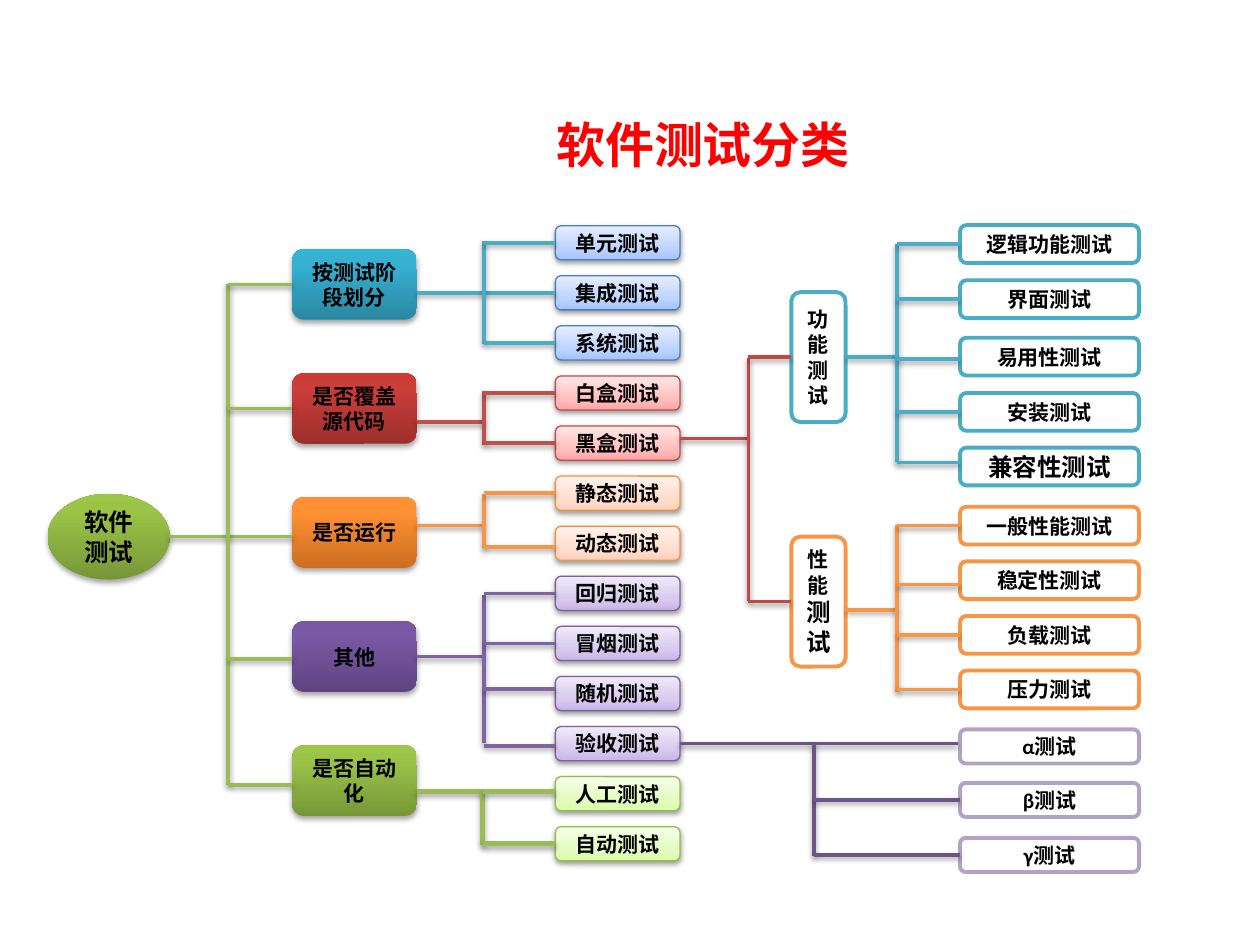
from copy import deepcopy
from dataclasses import dataclass
from typing import Optional

from lxml import etree
from pptx import Presentation
from pptx.dml.color import RGBColor
from pptx.enum import shapes, text
from pptx.oxml.ns import qn
from pptx.util import Pt


@dataclass(frozen=True)
class Tone:
    stops: tuple = ()               # (position %, colour) from bottom to top
    line: Optional[str] = None
    width: float = 0
    shade: Optional[tuple] = None   # shadow opacity %, distance


@dataclass(frozen=True)
class Box:
    label: str
    x: float
    y: float
    w: float
    h: float
    tone: Tone
    size: float
    form: int = shapes.MSO_SHAPE.ROUNDED_RECTANGLE
    tail: str = ""                  # end of the label, set larger


@dataclass(frozen=True)
class Tree:
    color: str
    spine: tuple                    # x, top, bottom
    stem: tuple                     # from x, to x, y
    end: float
    twigs: tuple
    width: float = 2
    shade: tuple = (38, 1.57)


DEEP, SOFT = (35, 1.81), (38, 1.57)


def deep(*cols: str) -> Tone:
    return Tone(tuple(zip((0, 80, 100), cols)), shade=DEEP)


def soft(line: str, *cols: str) -> Tone:
    return Tone(tuple(zip((0, 35, 100), cols)), line, 0.75, SOFT)


def ring(line: str) -> Tone:
    return Tone(((0, Theme.white),), line, 2.25)


class Theme:
    font, head = "Calibri", "Noto Sans CJK SC"
    body, large, title = 12, 14, 28
    black, white, red = "000000", "FFFFFF", "FF0000"
    lime, teal, rose = "9BBB59", "4BACC6", "C0504D"
    amber, plum, brick, dusk, lilac = "F79646", "8064A2", "BE4A47", "6D5488", "B3A2C7"
    leaf = deep("779737", "9BC348", "9DC746")
    sea = deep("2A88A2", "37B1D2", "34B4D6")
    ruby = deep("9C2F2D", "CB3E3A", "CE3B37")
    flame = deep("CC6E20", "FF9034", "FF9136")
    grape = deep("5F4480", "7B58A6", "7C57A8")
    sky = soft("4B7EBC", "A4C4FF", "BFD4FF", "E6EEFF")
    pink = soft("BF4C48", "FFA6A5", "FFC0BF", "FFE7E7")
    peach = soft("F69240", "FFD2BD", "FFDED0", "FFF2ED")
    mauve = soft("7D60A0", "C9B5E8", "D8CBEE", "F0EAF9")
    mint = soft("98B955", "DAFDA7", "E4FCC2", "F5FFE7")


def rgb(code: str) -> RGBColor:
    return RGBColor.from_string(code)


def cast(props, shade: tuple) -> None:
    """Give shape properties a soft shadow straight below."""
    list_ = props.find(qn("a:effectLst"))
    if list_ is None:
        list_ = etree.SubElement(props, qn("a:effectLst"))
    glow = etree.SubElement(list_, qn("a:outerShdw"), blurRad=str(Pt(3.15)),
                            dist=str(Pt(shade[1])), dir="5400000", rotWithShape="0")
    ink = etree.SubElement(glow, qn("a:srgbClr"), val=Theme.black)
    etree.SubElement(ink, qn("a:alpha"), val=str(shade[0] * 1000))


def paint(shape, tone: Tone) -> None:
    fill = shape.fill
    if len(tone.stops) == 1:
        fill.solid()
        fill.fore_color.rgb = rgb(tone.stops[0][1])
    else:
        fill.gradient()
        fill.gradient_angle = 90
        row = shape._element.spPr.find(qn("a:gradFill")).find(qn("a:gsLst"))
        row.append(deepcopy(row[0]))
        for stop, (pos, col) in zip(fill.gradient_stops, tone.stops):
            stop.position, stop.color.rgb = pos / 100, rgb(col)
    if tone.line:
        shape.line.color.rgb = rgb(tone.line)
        shape.line.width = Pt(tone.width)
    else:
        shape.line.fill.background()
    shape.shadow.inherit = False
    if tone.shade:
        cast(shape._element.spPr, tone.shade)


def write(shape, label: str, face: str, size: float, color: str, tail: str = "") -> None:
    frame = shape.text_frame
    frame.word_wrap = True
    frame.vertical_anchor = text.MSO_ANCHOR.MIDDLE
    par = frame.paragraphs[0]
    par.alignment = text.PP_ALIGN.CENTER
    font = par.font
    font.name, font.size, font.bold = face, Pt(size), True
    font.color.rgb = rgb(color)
    par.add_run().text = label
    if tail:
        run = par.add_run()
        run.text, run.font.size = tail, Pt(Theme.large)


def draw(slide, box: Box):
    shape = slide.shapes.add_shape(box.form, Pt(box.x), Pt(box.y), Pt(box.w), Pt(box.h))
    paint(shape, box.tone)
    write(shape, box.label, Theme.font, box.size, Theme.black, box.tail)
    return shape


def wire(slide, tree: Tree, x1: float, y1: float, x2: float, y2: float):
    line = slide.shapes.add_connector(shapes.MSO_CONNECTOR.STRAIGHT,
                                      Pt(x1), Pt(y1), Pt(x2), Pt(y2))
    line.line.color.rgb = rgb(tree.color)
    line.line.width = Pt(tree.width)
    cast(line._element.spPr, tree.shade)
    return line


def level(slide, tree: Tree, x1: float, x2: float, y: float, made: list) -> None:
    """Draw a level line, joined to any box side whose middle it meets."""
    def meet(x: float, side: int):
        for shape in made:
            edge = shape.left + (shape.width if side == 3 else 0)
            mid = shape.top + shape.height // 2
            if abs(edge - Pt(x)) < Pt(1.5) and abs(mid - Pt(y)) < Pt(1.2):
                return shape, mid
        return None

    start, stop = meet(x1, 3), meet(x2, 1)
    if start or stop:
        y = (start or stop)[1] / Pt(1)
    line = wire(slide, tree, x1, y, x2, y)
    if start:
        line.begin_connect(start[0], 3)
    if stop:
        line.end_connect(stop[0], 1)


def grow(slide, tree: Tree, made: list) -> None:
    x, top, base = tree.spine
    level(slide, tree, *tree.stem, made)
    wire(slide, tree, x, top, x, base)
    for y in tree.twigs:
        level(slide, tree, x, tree.end, y, made)


T = Theme
GROUPS = (("按测试阶段划分", T.sea), ("是否覆盖源代码", T.ruby), ("是否运行", T.flame),
          ("其他", T.grape), ("是否自动化", T.leaf))
KINDS = (("单元 集成 系统", T.sky), ("白盒 黑盒", T.pink), ("静态 动态", T.peach),
         ("回归 冒烟 随机 验收", T.mauve), ("人工 自动", T.mint))
# names, tops, height, line colour
LEAVES = (("逻辑功能 界面 易用性 安装 兼容性", (128.7, 160.2, 193, 224.6, 255.8), 21.6, T.teal),
          ("一般性能 稳定性 负载 压力", (289.6, 320.8, 352, 383.2), 21.6, T.amber),
          ("α β γ", (416.8, 447.4, 478.8), 19.5, T.lilac))
A, B, C, D = 167, 317.4, 452.2, 548.6   # left edges of the columns
TREES = (
    Tree(T.lime, (130.3, 162, 448.6), (96.6, A, 306.7), A, (162.7, 233.3, 376.6, 448.6)),
    Tree(T.teal, (276.5, 137.5, 196.6), (238.2, B, 167.3), B, (138.2, 195.8)),
    Tree(T.rose, (276.5, 223.2, 254.2), (238.2, 276.5, 241.2), B, (223.9, 253.4)),
    Tree(T.amber, (276.5, 282.2, 313.2), (238.2, 276.5, 300.2), B, (283, 312.5)),
    Tree(T.plum, (276.5, 339.8, 424.8), (238.2, 276.5, 375.8), B, (339.8, 367.2, 393.8, 426.2)),
    Tree(T.lime, (275.8, 452.2, 483.1), (238.2, 276.5, 452.2), B, (452.2, 481.7), 3, DEEP),
    Tree(T.brick, (427.7, 204.5, 343.4), (388.6, 427.7, 250.6), C, (205.2, 342.7)),
    Tree(T.teal, (512.6, 139.7, 264.2), (483.1, 512.6, 205.2), D,
         (139.7, 170.6, 205.2, 235.4, 264.2)),
    Tree(T.amber, (512.6, 300.2, 395.3), (483.1, 512.6, 348.5), D, (300.2, 334.1, 362.9, 393.8)),
    Tree(T.dusk, (465.1, 424.8, 488.9), (388.6, 547.2, 424.8), D, (456.5, 488.2)),
)


def main() -> None:
    deck = Presentation()
    deck.slide_width, deck.slide_height = Pt(720), Pt(540)
    slide = deck.slides.add_slide(deck.slide_layouts[6])

    # Title
    head = slide.shapes.add_textbox(Pt(177.8), Pt(51.1), Pt(447.8), Pt(62.6))
    write(head, "软件测试分类", T.head, T.title, T.red)

    # Root, groups, kinds, branches, leaves
    draw(slide, Box("软件测试", 27.2, 282.2, 69.8, 49, T.leaf, T.large, shapes.MSO_SHAPE.OVAL))
    boxes = [Box(name, A, 142.4 + 70.9 * i, 71.2, 40.3, tone, T.body)
             for i, (name, tone) in enumerate(GROUPS)]
    kinds = [(name, tone) for names, tone in KINDS for name in names.split()]
    boxes += [Box(name + "测试", B, 129 + 28.62 * i, 71.2, 19.5, tone, T.body)
              for i, (name, tone) in enumerate(kinds)]
    boxes += [Box("功能测试", C, 167, 31, 74.2, ring(T.teal), T.body),
              Box("性能", C, 306.7, 31, 74.2, ring(T.amber), T.body, tail="测试")]
    boxes += [Box(name + "测试", D, y, 102.3, h, ring(col),
                  T.large if name == "兼容性" else T.body)
              for names, tops, h, col in LEAVES for name, y in zip(names.split(), tops)]
    made = [draw(slide, box) for box in boxes]

    # Links
    for tree in TREES:
        grow(slide, tree, made)
    deck.save("out.pptx")


if __name__ == "__main__":
    main()
